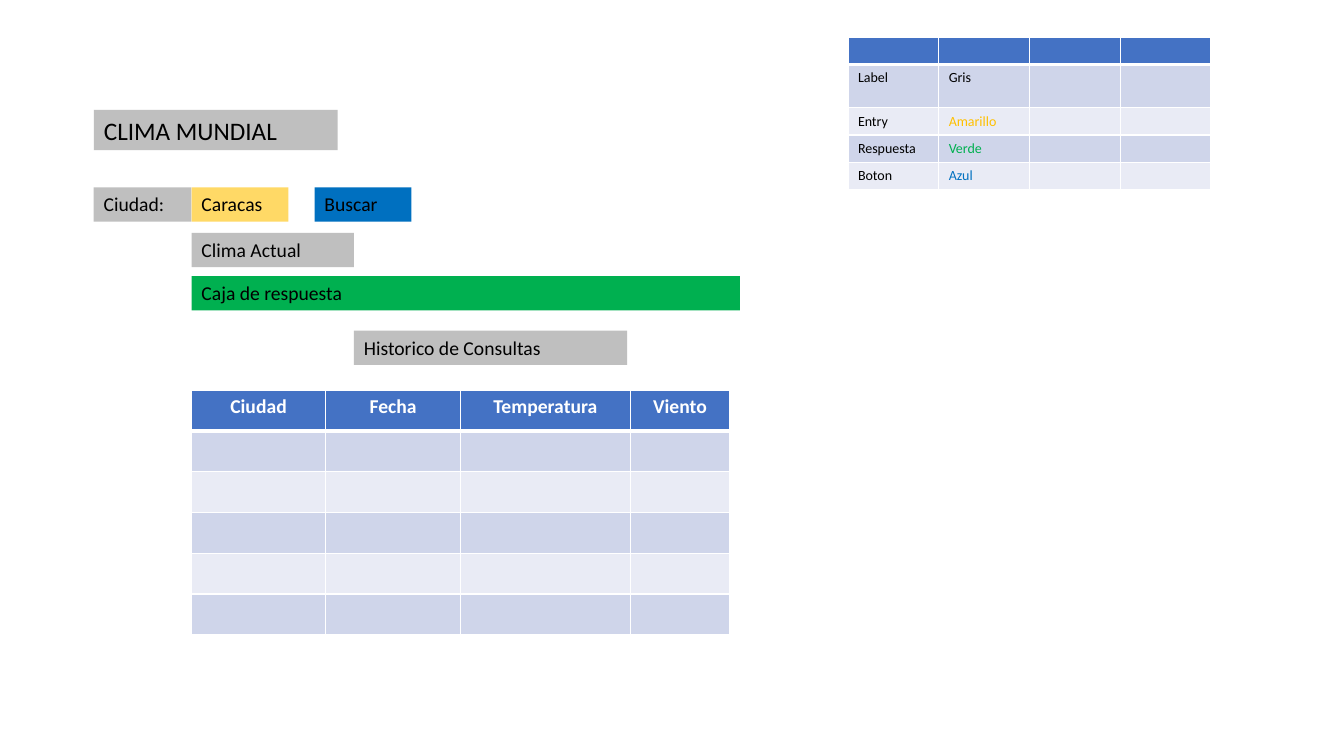
from lxml import etree
from pptx import Presentation
from pptx import util as u
from pptx.dml.color import RGBColor
from pptx.enum import shapes, text
from pptx.oxml import ns

FONT = "Calibri"
BLACK = RGBColor(0x00, 0x00, 0x00)
WHITE = RGBColor(0xFF, 0xFF, 0xFF)
GRAY = RGBColor(0xBF, 0xBF, 0xBF)
YELLOW = RGBColor(0xFF, 0xD9, 0x66)
AMBER = RGBColor(0xFF, 0xC0, 0x00)
GREEN = RGBColor(0x00, 0xB0, 0x50)
BLUE = RGBColor(0x00, 0x70, 0xC0)
HEADER = RGBColor(0x44, 0x72, 0xC4)
BANDS = (RGBColor(0xCF, 0xD5, 0xEA), RGBColor(0xE9, 0xEB, 0xF5))

LEFT = 0.93
INDENT = 1.9      # shared left edge of entry, answer and history table
LABEL_HEIGHT = 0.34
FORM_ROW = 1.86


def format_text(paragraph, size, color, bold=False, align=text.PP_ALIGN.LEFT):
    paragraph.alignment = align
    for run in paragraph.runs:
        run.font.name = FONT
        run.font.size = u.Pt(size)
        run.font.bold = bold
        run.font.color.rgb = color


def format_box(shape, caption, fill, size):
    shape.fill.solid()
    shape.fill.fore_color.rgb = fill
    shape.line.fill.background()
    frame = shape.text_frame
    frame.text = caption
    frame.word_wrap = True
    frame.auto_size = text.MSO_AUTO_SIZE.NONE
    frame.vertical_anchor = text.MSO_ANCHOR.TOP
    frame.margin_left = frame.margin_right = u.Inches(0.1)
    frame.margin_top = frame.margin_bottom = u.Inches(0.05)
    format_text(frame.paragraphs[0], size, BLACK)


def add_title(slide, caption, left, top, width, height):
    title = slide.shapes.title
    title.left, title.top = u.Inches(left), u.Inches(top)
    title.width, title.height = u.Inches(width), u.Inches(height)
    format_box(title, caption, GRAY, 18)


def add_box(slide, caption, left, top, width, fill):
    shape = slide.shapes.add_shape(
        shapes.MSO_SHAPE.RECTANGLE, u.Inches(left), u.Inches(top),
        u.Inches(width), u.Inches(LABEL_HEIGHT))
    shape.shadow.inherit = False
    format_box(shape, caption, fill, 14)


def set_borders(cell, bottom):
    properties = cell._tc.get_or_add_tcPr()
    for side, width in (("L", 1), ("R", 1), ("T", 1), ("B", bottom)):
        line = etree.SubElement(properties, ns.qn(f"a:ln{side}"), w=str(u.Pt(width)))
        fill = etree.SubElement(line, ns.qn("a:solidFill"))
        etree.SubElement(fill, ns.qn("a:srgbClr"), val=str(WHITE))


def add_table(slide, left, top, columns, rows, size):
    """Add a banded table with a header row and return it."""
    table = slide.shapes.add_table(
        len(rows), len(columns), u.Inches(left), u.Inches(top),
        u.Inches(sum(columns)), u.Inches(sum(rows))).table
    for column, width in zip(table.columns, columns):
        column.width = u.Inches(width)
    for index, (row, height) in enumerate(zip(table.rows, rows)):
        row.height = u.Inches(height)
        for cell in row.cells:
            set_borders(cell, 1 if index else 3)
            cell.fill.solid()
            cell.fill.fore_color.rgb = BANDS[(index - 1) % 2] if index else HEADER
            # Keeps the height of empty cells in step with the text size
            ending = cell.text_frame.paragraphs[0]._p.get_or_add_endParaRPr()
            ending.set("sz", str(size * 100))
    return table


def write_cell(cell, caption, *style):
    paragraph = cell.text_frame.paragraphs[0]
    paragraph.text = caption
    format_text(paragraph, *style)


def main():
    presentation = Presentation()
    presentation.slide_width = u.Inches(13.33)
    presentation.slide_height = u.Inches(7.5)
    slide = presentation.slides.add_slide(presentation.slide_layouts[5])

    # Form
    add_title(slide, "CLIMA MUNDIAL", LEFT, 1.09, 2.42, 0.4)
    for box in (
        ("Ciudad:", LEFT, FORM_ROW, 0.97, GRAY),
        ("Caracas", INDENT, FORM_ROW, 0.96, YELLOW),
        ("Buscar", 3.12, FORM_ROW, 0.96, BLUE),
        ("Clima Actual", INDENT, 2.31, 1.61, GRAY),
        ("Caja de respuesta", INDENT, 2.74, 5.44, GREEN),
        ("Historico de Consultas", 3.51, 3.28, 2.71, GRAY),
    ):
        add_box(slide, *box)

    # Colour key
    key = add_table(slide, 8.41, 0.37, [0.9] * 4, [0.26, 0.43] + [0.27] * 3, 10)
    entries = (("Label", "Gris", BLACK), ("Entry", "Amarillo", AMBER),
               ("Respuesta", "Verde", GREEN), ("Boton", "Azul", BLUE))
    for row, (element, color_name, color) in enumerate(entries, start=1):
        write_cell(key.cell(row, 0), element, 10, BLACK)
        write_cell(key.cell(row, 1), color_name, 10, color)

    # Query history
    history = add_table(slide, INDENT, 3.87, [1.33, 1.34, 1.68, 0.99], [0.405] * 6, 14)
    for column, heading in enumerate(("Ciudad", "Fecha", "Temperatura", "Viento")):
        write_cell(history.cell(0, column), heading, 14, WHITE, True, text.PP_ALIGN.CENTER)

    presentation.save("out.pptx")


main()
